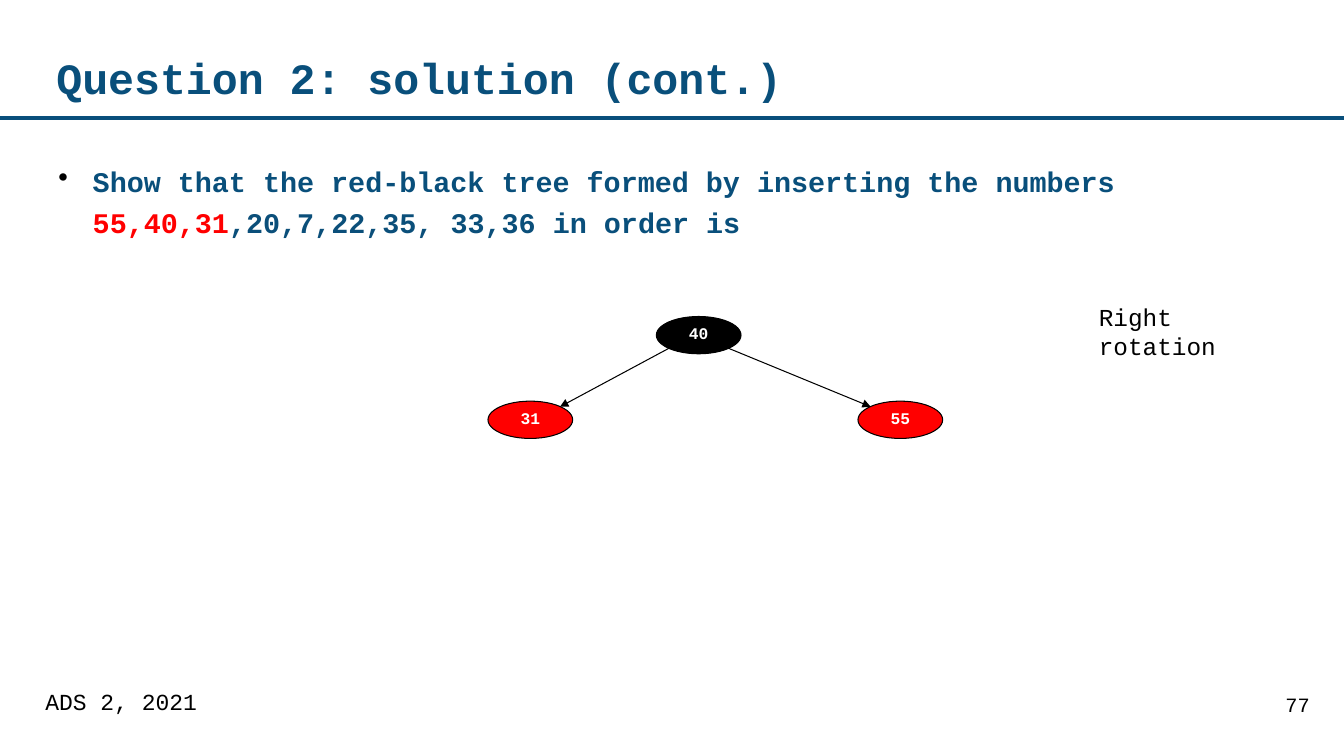
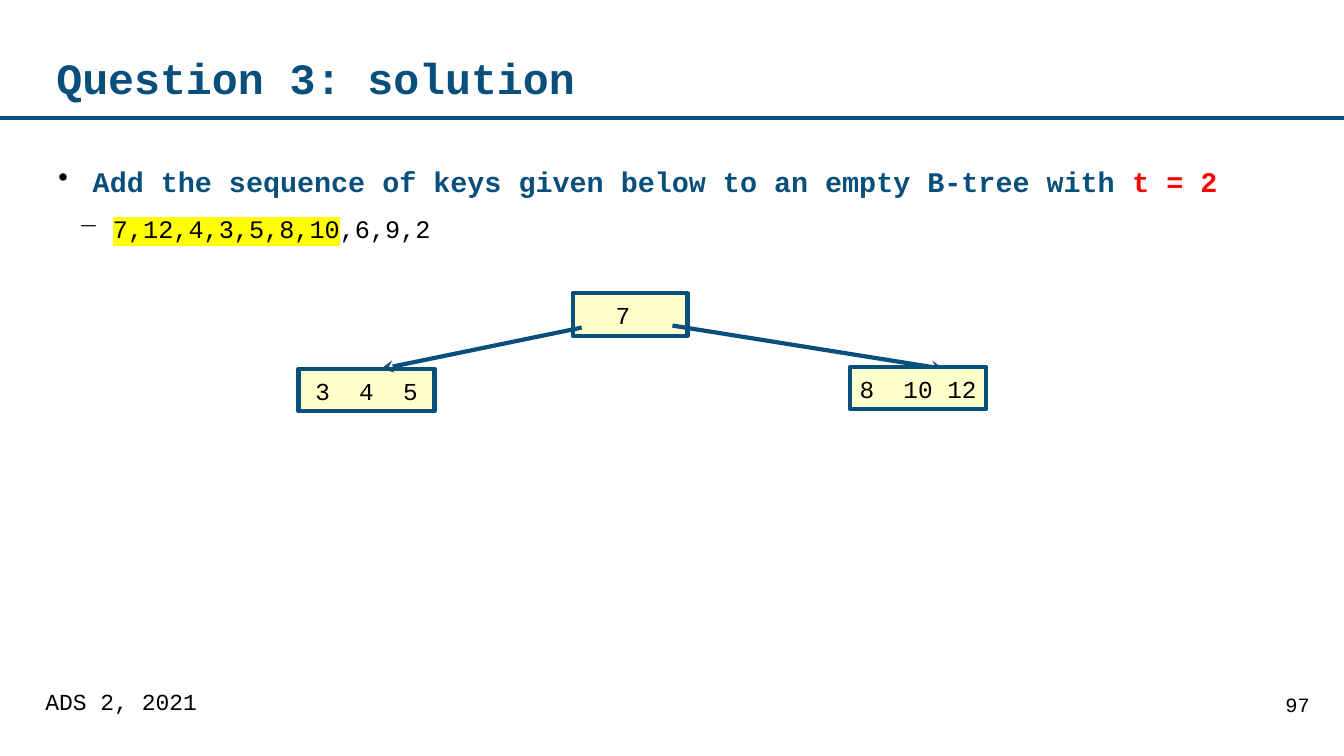
from lxml import etree
from pptx import Presentation
from pptx.dml.color import RGBColor
from pptx.enum.shapes import MSO_CONNECTOR as CONN, MSO_SHAPE as SHAPE
from pptx.enum.text import MSO_ANCHOR as ANCHOR, PP_ALIGN as ALIGN
from pptx.oxml.ns import qn
from pptx.util import Inches, Pt

COLORS = {
    "blue": "094F7B", "deep_blue": "0B4F7A", "red": "FF0000", "black": "000000",
    "white": "FFFFFF", "cream": "FFFFCC", "yellow": "FFFF00",
}
FONT = "Courier New"
SLIDE_W, SLIDE_H = 13.33, 7.5

# Text formats
TITLE = dict(size=30.9, color="blue", bold=True)
QUESTION = dict(size=20.3, color="blue", bold=True)
KEYS = dict(size=18, color="black")
NUMBER = dict(size=14.5, color="black")
FOOTER = dict(size=16.4, color="black")
LABEL = dict(size=17.4, color="black")
NODE = dict(size=11.6, color="white", bold=True)


def rgb(name):
    return RGBColor.from_string(COLORS[name])


def add_run(p, text, size, color, bold=False, highlight=None):
    r = p.add_run()
    r.text = text
    for name, value in dict(name=FONT, size=Pt(size), bold=bold).items():
        setattr(r.font, name, value)
    r.font.color.rgb = rgb(color)
    if highlight:
        mark = etree.Element(qn("a:highlight"))
        etree.SubElement(mark, qn("a:srgbClr"), val=COLORS[highlight])
        r.font._element.find(qn("a:solidFill")).addnext(mark)


def set_frame(tf, insets, anchor=ANCHOR.TOP, wrap=True):
    sides = ("margin_left", "margin_top", "margin_right", "margin_bottom")
    for side, inset in zip(sides, insets):
        setattr(tf, side, Inches(inset))
    tf.vertical_anchor = anchor
    tf.word_wrap = wrap


def add_text(slide, box, text, fmt, insets=(0, 0, 0, 0), anchor=ANCHOR.TOP,
             align=ALIGN.LEFT, spacing=1.0):
    tf = slide.shapes.add_textbox(*map(Inches, box)).text_frame
    set_frame(tf, insets, anchor)
    p = tf.paragraphs[0]
    p.alignment, p.line_spacing = align, spacing
    add_run(p, text, **fmt)


def add_bullet(p, char, indent):
    pPr = p._p.get_or_add_pPr()
    pPr.set("marL", str(Inches(indent)))
    pPr.set("indent", str(Inches(-0.34)))
    color = etree.SubElement(pPr, qn("a:buClr"))
    etree.SubElement(color, qn("a:srgbClr"), val=COLORS["black"])
    etree.SubElement(pPr, qn("a:buChar"), char=char)


def add_line(slide, start, end, color, width, head=None):
    line = slide.shapes.add_connector(CONN.STRAIGHT, *map(Inches, (*start, *end)))
    line.line.color.rgb = rgb(color)
    line.line.width = Pt(width)
    if head:
        etree.SubElement(line.line._get_or_add_ln(), qn("a:tailEnd"), type=head)
    etree.SubElement(line._element.spPr, qn("a:effectLst"))


def add_node(slide, shape, box, text, fmt, fill, line, width, insets, wrap):
    sp = slide.shapes.add_shape(shape, *map(Inches, box))
    sp.shadow.inherit = False
    sp.fill.solid()
    sp.fill.fore_color.rgb = rgb(fill)
    sp.line.color.rgb = rgb(line)
    sp.line.width = Pt(width)
    set_frame(sp.text_frame, insets, ANCHOR.MIDDLE, wrap)
    p = sp.text_frame.paragraphs[0]
    p.alignment, p.line_spacing = ALIGN.CENTER, 0.82
    add_run(p, text, **fmt)


def add_base(prs, title, number):
    """Slide with the title, rule and footer that all slides share."""
    slide = prs.slides.add_slide(prs.slide_layouts[6])
    add_line(slide, (0, 1.17), (SLIDE_W, 1.17), "blue", 2.75)
    add_text(slide, (0.56, 0.33, 11.38, 0.86), title, TITLE,
             anchor=ANCHOR.MIDDLE, spacing=1.04)
    add_text(slide, (10.96, 6.82, 2.15, 0.52), number, NUMBER,
             (0.12, 0.06, 0.12, 0.06), align=ALIGN.RIGHT, spacing=0.96)
    add_text(slide, (0.34, 6.82, 8.43, 0.52), "ADS 2, 2021", FOOTER,
             (0.11, 0.05, 0.11, 0.05), spacing=0.82)
    return slide


def add_body(slide, box, items):
    """Bulleted text; each item is (level, [(text, format), ...])."""
    tf = slide.shapes.add_textbox(*map(Inches, box)).text_frame
    set_frame(tf, (0, 0, 0, 0))
    bullets = (("•", 0.36), ("−", 0.56))
    for i, (level, runs) in enumerate(items):
        p = tf.add_paragraph() if i else tf.paragraphs[0]
        p.level, p.line_spacing = level, 1.2
        if i:
            p.space_before = Pt(6.2)
        add_bullet(p, *bullets[level])
        for text, fmt in runs:
            add_run(p, text, **fmt)


def add_red_black_tree(slide, x, y):
    """Root with two red children; x, y is the left child's column and root's top."""
    w, h = 0.84, 0.37
    root, left, right = (x + 1.67, y), (x, y + 0.84), (x + 3.67, y + 0.84)
    for (nx, ny), key, fill in ((root, "40", "black"), (left, "31", "red"),
                                (right, "55", "red")):
        add_node(slide, SHAPE.OVAL, (nx, ny, w, h), key, NODE, fill, "black",
                 0.75, (0.1, 0.05, 0.1, 0.05), True)

    # Edges run between the diagonal points of the ellipses
    near, far = 0.15, 0.85
    for child, a, b in ((left, near, far), (right, far, near)):
        add_line(slide, (root[0] + a * w, root[1] + far * h),
                 (child[0] + b * w, child[1] + near * h), "black", 0.75, "triangle")


def add_b_tree(slide, x, y):
    """Root block with two leaf blocks; x is the left leaf's side, y the root's top."""
    def block(dx, dy, w, keys):
        add_node(slide, SHAPE.RECTANGLE, (x + dx, y + dy, w, 0.42), keys, LABEL,
                 "cream", "blue", 3, (0.1, 0.1, 0.1, 0.04), False)

    def edge(start, end):
        add_line(slide, (x + start[0], y + start[1]), (x + end[0], y + end[1]),
                 "blue", 3, "stealth")

    block(2.72, 0, 1.14, "7 ")
    block(0, 0.75, 1.35, "3  4  5")
    edge((2.81, 0.34), (0.82, 0.75))
    edge((3.71, 0.32), (6.4, 0.75))
    block(5.47, 0.73, 1.35, "8  10 12")  # covers the tip of its edge


BODY = (0.56, 1.56, 12.22, 5.11)


def red_black_slide(prs):
    slide = add_base(prs, "Question 2: solution (cont.)", "77")
    add_body(slide, BODY, [(0, [
        ("Show that the red-black tree formed by inserting the numbers ", QUESTION),
        ("55,40,31", QUESTION | {"color": "red"}),
        (",20,7,22,35, 33,36", QUESTION | {"color": "deep_blue"}),
        (" in order is", QUESTION),
    ])])
    add_red_black_tree(slide, 4.84, 3.14)
    add_text(slide, (10.8, 2.95, 1.98, 0.39), "Right rotation", LABEL,
             (0.1, 0.05, 0.1, 0.05))


def b_tree_slide(prs):
    slide = add_base(prs, "Question 3: solution", "97")
    add_body(slide, BODY, [
        (0, [("Add the sequence of keys given below to an empty B-tree with ", QUESTION),
             ("t = 2", QUESTION | {"color": "red"})]),
        (1, [("7,12,4,3,5,8,10", KEYS | {"highlight": "yellow"}), (",6,9,2", KEYS)]),
    ])
    add_b_tree(slide, 2.96, 2.91)


def main():
    prs = Presentation()
    prs.slide_width, prs.slide_height = Inches(SLIDE_W), Inches(SLIDE_H)
    red_black_slide(prs)
    b_tree_slide(prs)
    prs.save("out.pptx")


if __name__ == "__main__":
    main()
